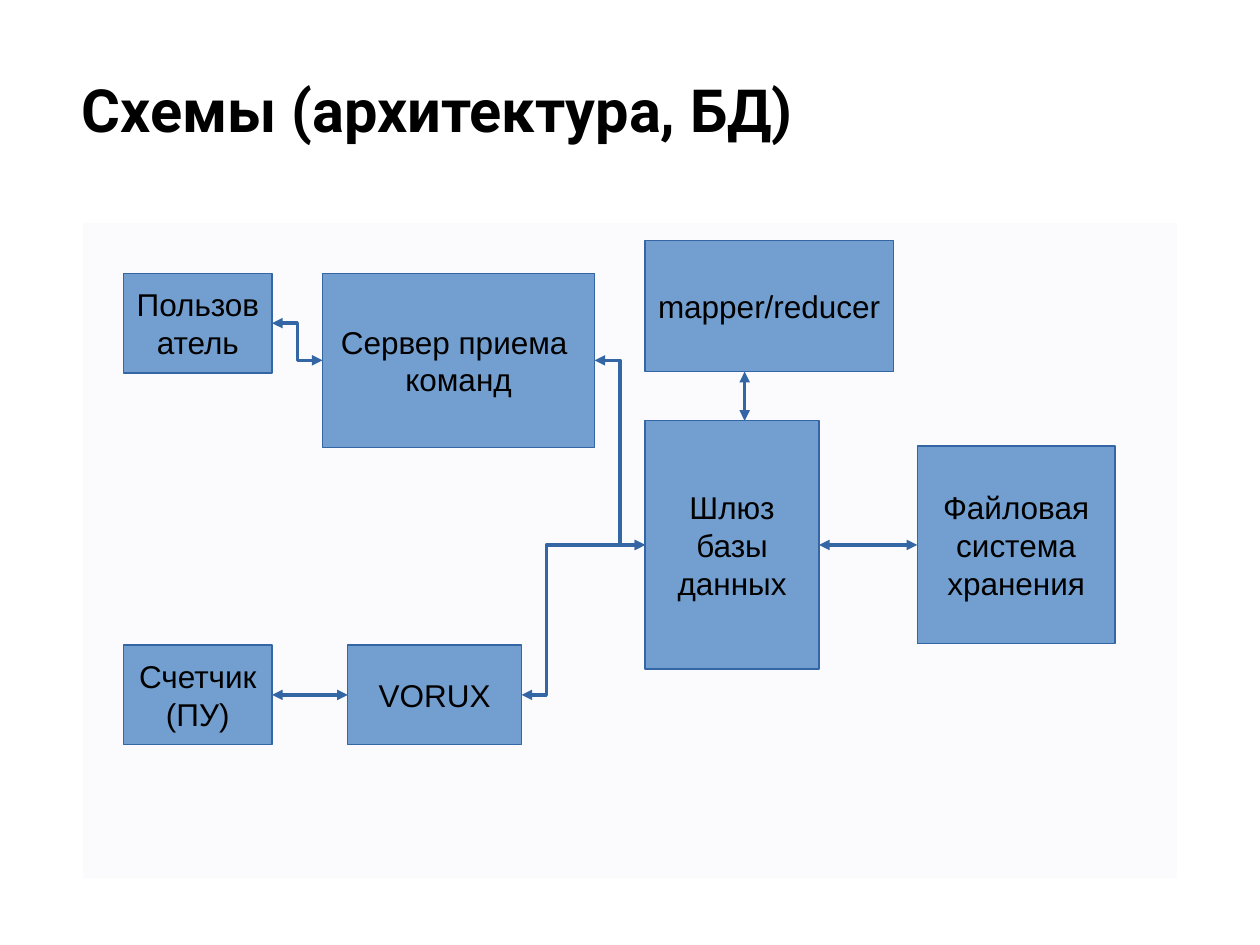
from lxml import etree
from pptx import Presentation
from pptx.dml.color import RGBColor
from pptx.enum.shapes import MSO_CONNECTOR, MSO_SHAPE
from pptx.enum.text import MSO_ANCHOR, MSO_AUTO_SIZE, PP_ALIGN
from pptx.oxml.ns import qn
from pptx.util import Inches, Pt

RECT = MSO_SHAPE.RECTANGLE
STRAIGHT, ELBOW = MSO_CONNECTOR.STRAIGHT, MSO_CONNECTOR.ELBOW
TOP, MIDDLE = MSO_ANCHOR.TOP, MSO_ANCHOR.MIDDLE
LEFT, CENTER = PP_ALIGN.LEFT, PP_ALIGN.CENTER
NO_FIT = MSO_AUTO_SIZE.NONE
LEFT_SIDE, RIGHT_SIDE = 1, 3


def color(value):
    return RGBColor.from_string(value)


class Diagram:
    PANEL, BOX, LINE, TEXT = "FBFBFE", "729FCF", "3465A4", "000000"
    TITLE_FONT, BODY_FONT = "Roboto", "Arial"

    def __init__(self, slide):
        self.slide = slide

    def format_text(self, tf, font, size, align, bold=False):
        for p in tf.paragraphs:
            p.alignment = align
            for r in p.runs:
                r.font.name = font
                r.font.size = Pt(size)
                r.font.bold = bold
                r.font.color.rgb = color(self.TEXT)

    def title(self, text, x, y, w, h):
        sp = self.slide.shapes.title
        sp.left, sp.top, sp.width, sp.height = map(Inches, (x, y, w, h))
        tf = sp.text_frame
        tf.text = text
        tf.auto_size = NO_FIT
        tf.vertical_anchor = TOP
        tf.margin_left = tf.margin_right = Inches(0.1)
        tf.margin_top = tf.margin_bottom = Inches(0.1)
        self.format_text(tf, self.TITLE_FONT, 34, LEFT, bold=True)

    def rect(self, x, y, w, h, fill):
        sp = self.slide.shapes.add_shape(RECT, *map(Inches, (x, y, w, h)))
        sp.shadow.inherit = False
        sp.fill.solid()
        sp.fill.fore_color.rgb = color(fill)
        return sp

    def panel(self, x, y, w, h):
        self.rect(x, y, w, h, self.PANEL).line.fill.background()

    def box(self, text, x, y, w, h):
        sp = self.rect(x, y, w, h, self.BOX)
        sp.line.color.rgb = color(self.LINE)
        sp.line.width = Pt(0)
        tf = sp.text_frame
        tf.text = text
        tf.word_wrap = True
        tf.vertical_anchor = MIDDLE
        self.format_text(tf, self.BODY_FONT, 18, CENTER)
        return sp

    def arrow(self, kind, x1=0, y1=0, x2=0, y2=0):
        """Add a line with an arrowhead at both ends."""
        cn = self.slide.shapes.add_connector(kind, *map(Inches, (x1, y1, x2, y2)))
        cn.line.color.rgb = color(self.LINE)
        cn.line.width = Pt(0)
        ln = cn.line._get_or_add_ln()
        for end in ("a:headEnd", "a:tailEnd"):
            etree.SubElement(ln, qn(end), type="triangle")
        etree.SubElement(cn._element.spPr, qn("a:effectLst"))
        return cn

    def link(self, start, end, bend=None):
        """Join the right side of start to the left side of end."""
        cn = self.arrow(STRAIGHT if bend is None else ELBOW)
        cn.begin_connect(start, RIGHT_SIDE)
        cn.end_connect(end, LEFT_SIDE)
        if bend is not None:
            guides = cn._element.spPr.find(qn("a:prstGeom")).find(qn("a:avLst"))
            etree.SubElement(guides, qn("a:gd"), name="adj1",
                             fmla=f"val {round(bend * 100000)}")


def main():
    prs = Presentation()
    prs.slide_width, prs.slide_height = Inches(10), Inches(7.5)
    s = prs.slides.add_slide(prs.slide_layouts[5])
    d = Diagram(s)

    # Background and title
    d.panel(0.66, 1.77, 8.68, 5.2)
    d.title("Схемы (архитектура, БД)", 0.55, 0.48, 9.32, 1.43)

    # Components
    user = d.box("Пользователь", 0.98, 2.17, 1.18, 0.79)
    meter = d.box("Счетчик(ПУ)", 0.98, 5.12, 1.18, 0.79)
    storage = d.box("Файловая система\nхранения", 7.28, 3.54, 1.57, 1.57)
    reader = d.box("VORUX", 2.76, 5.12, 1.38, 0.79)
    server = d.box("Сервер приема \vкоманд", 2.56, 2.17, 2.16, 1.38)
    gateway = d.box("Шлюз базы данных", 5.12, 3.34, 1.38, 1.97)
    d.box("mapper/reducer", 5.12, 1.91, 1.97, 1.04)

    # Data flows
    d.arrow(STRAIGHT, 5.91, 2.95, 5.91, 3.34)
    d.link(gateway, storage)
    d.link(server, gateway, bend=0.5)
    d.link(reader, gateway, bend=0.2)
    d.link(user, server, bend=0.5)
    d.link(meter, reader)

    prs.save("out.pptx")


if __name__ == "__main__":
    main()
